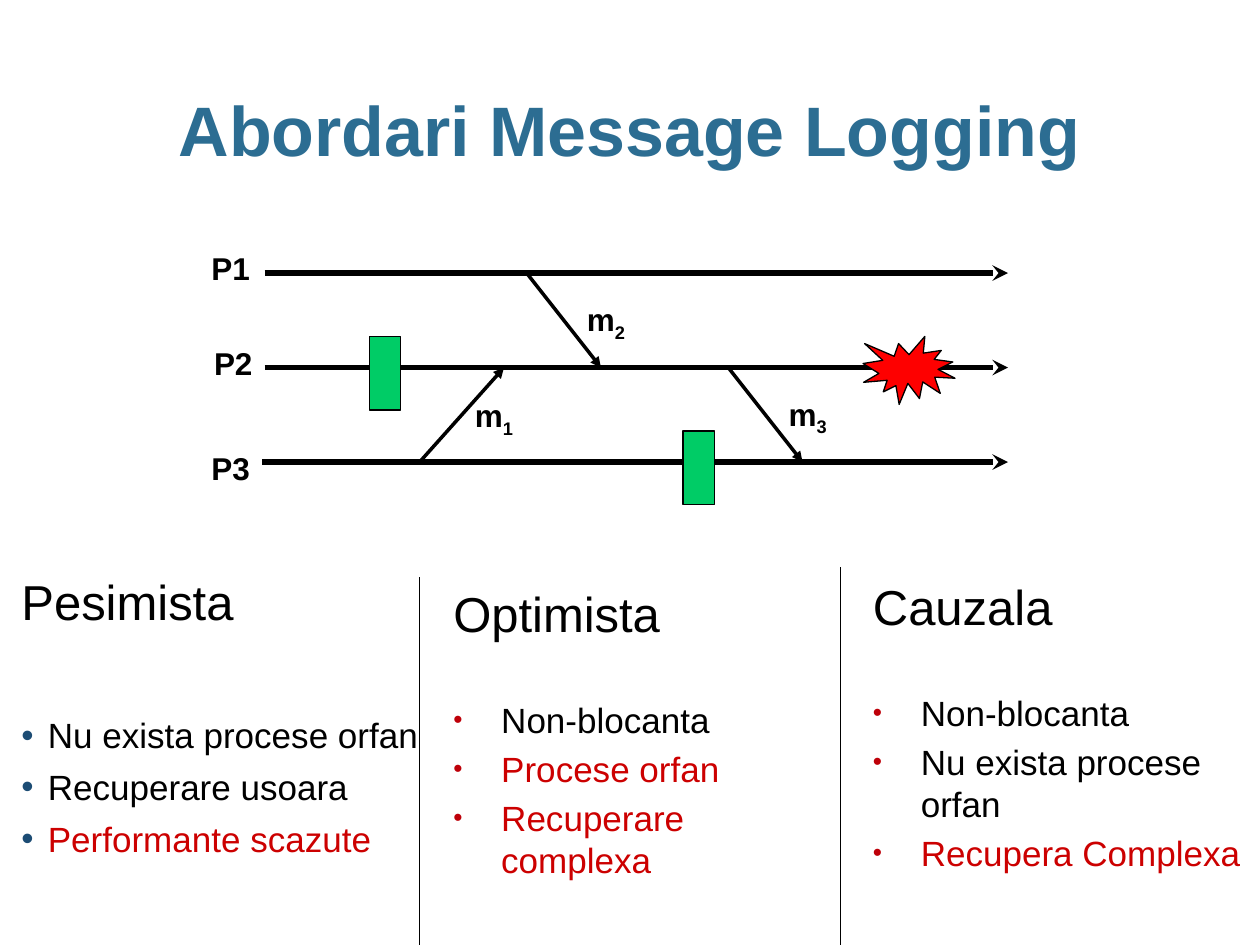
from dataclasses import dataclass

from lxml.etree import SubElement
from pptx import Presentation
from pptx.dml.color import RGBColor
from pptx.enum.shapes import MSO_CONNECTOR, MSO_SHAPE
from pptx.enum.text import MSO_ANCHOR, MSO_AUTO_SIZE, PP_ALIGN
from pptx.oxml.ns import qn
from pptx.util import Inches, Pt


@dataclass(frozen=True)
class Theme:
    font: str = "Arial"
    title: str = "2C6D92"
    ink: str = "000000"
    warning: str = "CC0000"
    checkpoint: str = "00CC66"
    crash: str = "FE0000"
    blue_bullet: str = "1C4C74"
    red_bullet: str = "BE0009"
    title_size: int = 40
    heading_size: int = 28
    item_size: int = 20
    label_size: int = 18


@dataclass(frozen=True)
class ListStyle:
    bullet: str
    bullet_percent: int
    indent: float
    inset: float
    line_spacing: float
    item_gap: int
    heading_gap: int


THEME = Theme()
PLAIN = ListStyle(THEME.blue_bullet, 100, 0.21, 0, 0.9, 8, 50)
SMALL_BULLET = ListStyle(THEME.red_bullet, 75, 0.38, 0.1, 1.0, 4, 32)

# The slide is a grid of ten columns and ten rows.
WIDTH, HEIGHT = Inches(10), Inches(7.5)
LANES = [2.89, 3.89, 4.89]
LANE_END = 8


def across(columns):
    return int(WIDTH * columns / 10)


def down(rows):
    return int(HEIGHT * rows / 10)


def box(left, top, width, height):
    return across(left), down(top), across(width), down(height)


def set_font(font, size, color=THEME.ink, bold=False):
    font.name = THEME.font
    font.size = Pt(size)
    font.bold = bold
    font.color.rgb = RGBColor.from_string(color)


def add_title(slide, text):
    title = slide.shapes.title
    title.left, title.top, title.width, title.height = box(0.34, 0.91, 9.31, 0.67)
    frame = title.text_frame
    frame.text = text
    frame.auto_size = MSO_AUTO_SIZE.NONE
    frame.vertical_anchor = MSO_ANCHOR.TOP
    frame.margin_left = frame.margin_right = 0
    paragraph = frame.paragraphs[0]
    paragraph.alignment = PP_ALIGN.CENTER
    paragraph.line_spacing = 0.95
    set_font(paragraph.font, THEME.title_size, THEME.title, bold=True)


def add_line(slide, start, end, weight, arrow=None):
    line = slide.shapes.add_connector(
        MSO_CONNECTOR.STRAIGHT,
        across(start[0]), down(start[1]), across(end[0]), down(end[1]),
    )
    line.line.width = Pt(weight)
    line.line.color.rgb = RGBColor.from_string(THEME.ink)
    if arrow:
        SubElement(line.line._get_or_add_ln(), qn("a:tailEnd"), type=arrow)
    SubElement(line._element.spPr, qn("a:effectLst"))


def add_marker(slide, preset, area, color):
    marker = slide.shapes.add_shape(preset, *box(*area))
    marker.shadow.inherit = False
    marker.fill.solid()
    marker.fill.fore_color.rgb = RGBColor.from_string(color)
    marker.line.color.rgb = RGBColor.from_string(THEME.ink)
    marker.line.width = Pt(0.75)


def add_checkpoint(slide, left, lane):
    add_marker(slide, MSO_SHAPE.RECTANGLE, (left, lane - 0.33, 0.25, 0.78),
               THEME.checkpoint)


def add_label(slide, left, top, text, subscript=""):
    label = slide.shapes.add_textbox(*box(left, top, 0.52, 0.53))
    frame = label.text_frame
    frame.word_wrap = False
    frame.auto_size = MSO_AUTO_SIZE.SHAPE_TO_FIT_TEXT
    paragraph = frame.paragraphs[0]
    paragraph.add_run().text = text
    if subscript:
        run = paragraph.add_run()
        run.text = subscript
        run.font._element.set("baseline", "-25000")
    set_font(paragraph.font, THEME.label_size, bold=True)


def add_bullet(paragraph, style):
    properties = paragraph._p.get_or_add_pPr()
    properties.set("marL", str(Inches(style.indent)))
    properties.set("indent", str(-Inches(style.indent)))
    color = SubElement(properties, qn("a:buClr"))
    SubElement(color, qn("a:srgbClr"), val=style.bullet)
    SubElement(properties, qn("a:buSzPct"), val=str(style.bullet_percent * 1000))
    SubElement(properties, qn("a:buFont"), typeface=THEME.font)
    SubElement(properties, qn("a:buChar"), char="•")


def add_approach(slide, area, heading, items, style):
    """Add a heading with its bullets; items are (text, colour) pairs."""
    frame = slide.shapes.add_textbox(*box(*area)).text_frame
    frame.word_wrap = True
    frame.margin_left = frame.margin_right = Inches(style.inset)
    paragraph = frame.paragraphs[0]
    paragraph.text = heading
    paragraph.line_spacing = style.line_spacing
    set_font(paragraph.font, THEME.heading_size)
    for index, (text, color) in enumerate(items):
        paragraph = frame.add_paragraph()
        paragraph.text = text
        paragraph.line_spacing = style.line_spacing
        paragraph.space_before = Pt(style.item_gap if index else style.heading_gap)
        add_bullet(paragraph, style)
        set_font(paragraph.font, THEME.item_size, color)


def add_timeline(slide):
    first, second, third = LANES
    for start, lane in zip((2.1, 2.1, 2.08), LANES):
        add_line(slide, (start, lane), (LANE_END, lane), 3, "stealth")
    for name, left, top in (("P1", 1.58, 2.57), ("P2", 1.6, 3.57), ("P3", 1.58, 4.69)):
        add_label(slide, left, top, name)

    add_checkpoint(slide, 2.93, second)
    add_checkpoint(slide, 5.42, third)
    add_marker(slide, MSO_SHAPE.EXPLOSION1, (6.85, 3.56, 0.73, 0.72), THEME.crash)

    messages = [
        ("1", (3.33, third), (4, second), (3.67, 4.13)),
        ("2", (4.18, first), (4.77, second), (4.56, 3.11)),
        ("3", (5.78, second), (6.37, third), (6.16, 4.11)),
    ]
    for number, start, end, label in messages:
        add_line(slide, start, end, 2, "triangle")
        add_label(slide, *label, "m", number)


def add_approaches(slide):
    good, bad = THEME.ink, THEME.warning
    add_approach(slide, (0.17, 6.05, 3.42, 3.5), "Pesimista", [
        ("Nu exista procese orfan", good),
        ("Recuperare usoara", good),
        ("Performante scazute", bad),
    ], PLAIN)
    add_approach(slide, (3.5, 6.11, 3.17, 3.5), "Optimista", [
        ("Non-blocanta", good),
        ("Procese orfan", bad),
        ("Recuperare complexa", bad),
    ], SMALL_BULLET)
    add_approach(slide, (6.83, 6.04, 3.17, 3.5), "Cauzala", [
        ("Non-blocanta", good),
        ("Nu exista procese orfan", good),
        ("Recupera Complexa", bad),
    ], SMALL_BULLET)
    for column, top in ((3.33, 6.11), (6.67, 6)):
        add_line(slide, (column, top), (column, 10), 0.75)


def main():
    presentation = Presentation()
    presentation.slide_width, presentation.slide_height = WIDTH, HEIGHT
    slide = presentation.slides.add_slide(presentation.slide_layouts[5])
    add_title(slide, "Abordari Message Logging")
    add_approaches(slide)
    add_timeline(slide)
    presentation.save("out.pptx")


if __name__ == "__main__":
    main()
